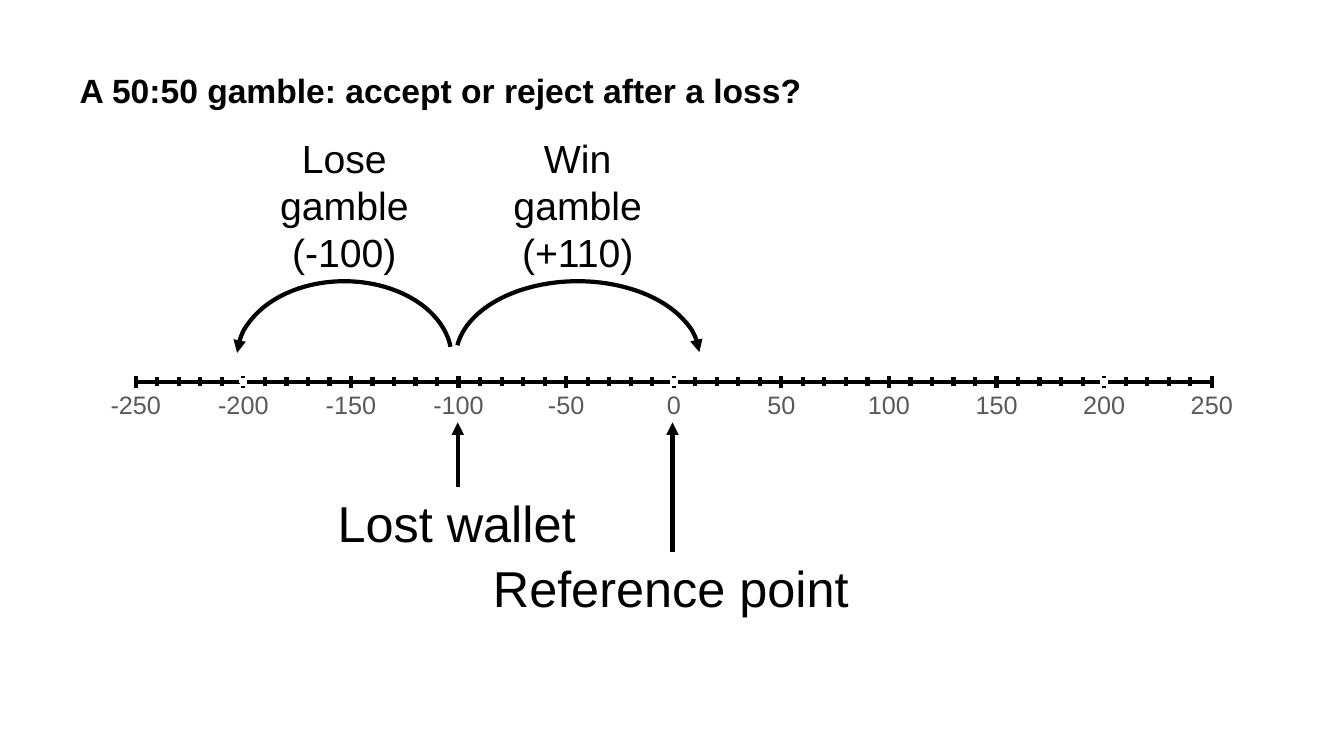
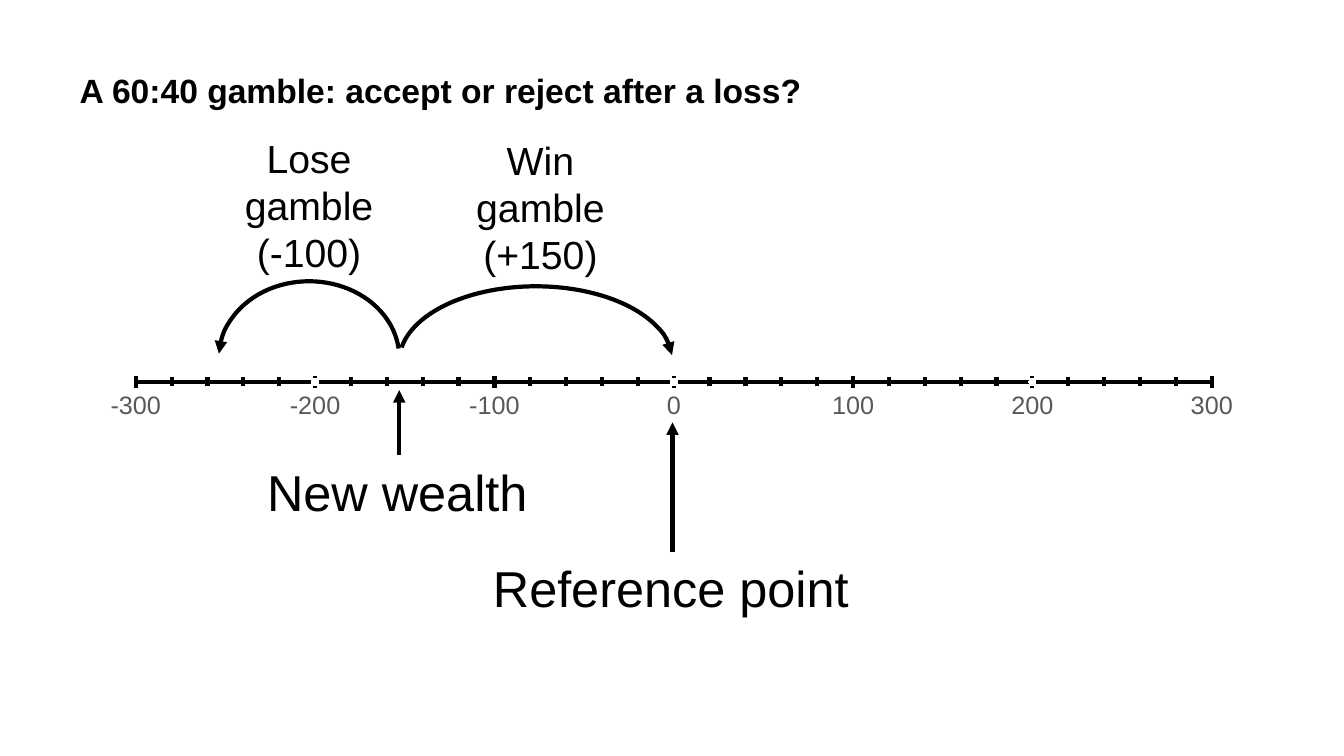
from dataclasses import dataclass

from lxml.etree import SubElement
from pptx import Presentation
from pptx.chart.data import XyChartData
from pptx.dml.color import RGBColor
from pptx.enum.chart import XL_CHART_TYPE, XL_MARKER_STYLE, XL_TICK_MARK
from pptx.enum.shapes import MSO_CONNECTOR, MSO_SHAPE
from pptx.enum.text import MSO_ANCHOR, PP_ALIGN
from pptx.oxml import parse_xml
from pptx.oxml.ns import nsdecls, qn
from pptx.util import Inches, Pt

BLACK = RGBColor(0x00, 0x00, 0x00)
GRAY = RGBColor(0x59, 0x59, 0x59)
FONT = "Arial"
LINE_WIDTH = Pt(3)
ARC_ANGLES = (111.569, 214.401)

# Plot area as fractions of the chart frame
PLOT_AREA = {"x": 0.042, "y": 0.1, "w": 0.92, "h": 0.445}


@dataclass(frozen=True)
class Area:
    left: float
    top: float
    width: float
    height: float

    def lengths(self) -> tuple:
        return tuple(map(Inches, (self.left, self.top, self.width, self.height)))


@dataclass(frozen=True)
class Outcome:
    text: str
    label: Area
    arc: Area
    is_loss: bool = False


@dataclass(frozen=True)
class Pointer:
    text: str
    label: Area
    x: float
    bottom: float
    top: float


@dataclass(frozen=True)
class Gamble:
    title: str
    limit: int
    major_unit: int
    outcomes: tuple[Outcome, ...]
    wealth: Pointer


TITLE_AREA = Area(0.69, 0.64, 11.29, 0.51)
CHART_AREA = Area(0.86, 3.31, 11.6, 0.88)
REFERENCE = Pointer("Reference point", Area(4.79, 5.48, 3.76, 0.71), 6.67, 5.48, 4.19)

GAMBLES = (
    Gamble(
        "A 50:50 gamble: accept or reject after a loss?", 250, 50,
        (
            Outcome("Win gamble (+110)", Area(4.66, 1.28, 2.14, 1.51),
                    Area(4.52, 2.79, 2.42, 1.52)),
            Outcome("Lose gamble\v(-100)", Area(2.25, 1.28, 2.33, 1.51),
                    Area(2.35, 2.79, 2.13, 1.52), is_loss=True),
        ),
        Pointer("Lost wallet", Area(3.25, 4.83, 2.59, 0.71), 4.54, 4.83, 4.19),
    ),
    Gamble(
        "A 60:40 gamble: accept or reject after a loss?", 300, 100,
        (
            Outcome("Win gamble (+150)", Area(4.29, 1.3, 2.14, 1.51),
                    Area(3.96, 2.84, 2.71, 1.49)),
            Outcome("Lose gamble\v(-100)", Area(1.9, 1.28, 2.33, 1.51),
                    Area(2.17, 2.79, 1.79, 1.52), is_loss=True),
        ),
        Pointer("New wealth", Area(2.55, 4.53, 2.81, 0.71), 3.96, 4.51, 3.87),
    ),
)


def set_font(font, size: float, color: RGBColor = BLACK, bold: bool = False) -> None:
    font.name, font.size, font.bold = FONT, Pt(size), bold
    font.color.rgb = color


def write_text(frame, text: str, *, size: float, bold: bool = False,
               align=PP_ALIGN.LEFT, spacing: float = 1.0, wrap: bool = True) -> None:
    frame.word_wrap = wrap
    frame.text = text
    para = frame.paragraphs[0]
    para.alignment, para.line_spacing = align, spacing
    for span in para.runs:
        set_font(span.font, size, bold=bold)


def add_label(page, area: Area, text: str, **formatting) -> None:
    box = page.shapes.add_textbox(*area.lengths())
    write_text(box.text_frame, text, **formatting)


def style_arrow(line) -> None:
    line.color.rgb = BLACK
    line.width = LINE_WIDTH
    SubElement(line._get_or_add_ln(), qn("a:tailEnd"), type="triangle")


def add_title(page, text: str) -> None:
    title = page.shapes.title
    title.left, title.top, title.width, title.height = TITLE_AREA.lengths()
    title.text_frame.vertical_anchor = MSO_ANCHOR.BOTTOM
    write_text(title.text_frame, text, size=24, bold=True, spacing=0.9)


def add_number_line(page, limit: int, major_unit: int) -> None:
    data = XyChartData()
    points = data.add_series("Series 1")
    for value in (-200, 200, 0):
        points.add_data_point(value, 0)
    chart = page.shapes.add_chart(
        XL_CHART_TYPE.XY_SCATTER, *CHART_AREA.lengths(), data).chart
    chart.has_title = chart.has_legend = False
    set_font(chart.font, 10)

    # Visible horizontal scale
    scale = chart.category_axis
    scale.minimum_scale, scale.maximum_scale = -limit, limit
    scale.major_unit, scale.minor_unit = major_unit, major_unit / 5
    scale.major_tick_mark = scale.minor_tick_mark = XL_TICK_MARK.CROSS
    scale.has_major_gridlines = False
    scale.format.line.color.rgb = BLACK
    scale.format.line.width = LINE_WIDTH
    set_font(scale.tick_labels.font, 18, GRAY)

    # Hidden vertical scale
    height = chart.value_axis
    height.minimum_scale, height.maximum_scale, height.major_unit = 0, 10, 100
    height.has_major_gridlines = False
    height.visible = False

    # Unfilled markers
    series = chart.plots[0].series[0]
    series.format.line.fill.background()
    series.marker.style, series.marker.size = XL_MARKER_STYLE.CIRCLE, 5
    series.marker.format.fill.background()
    series.marker.format.line.fill.background()

    # Fixed inner plot area
    plot_area = chart._chartSpace.chart.plotArea
    for layout in plot_area.findall(qn("c:layout")):
        plot_area.remove(layout)
    sizes = "".join(f'<c:{key} val="{value}"/>' for key, value in PLOT_AREA.items())
    plot_area.insert(0, parse_xml(
        f'<c:layout {nsdecls("c")}><c:manualLayout><c:layoutTarget val="inner"/>'
        f'<c:xMode val="edge"/><c:yMode val="edge"/>{sizes}</c:manualLayout></c:layout>'))


def add_outcome(page, outcome: Outcome) -> None:
    arc = page.shapes.add_shape(MSO_SHAPE.ARC, *outcome.arc.lengths())
    arc.shadow.inherit = False
    arc.fill.background()
    arc.adjustments[0], arc.adjustments[1] = ARC_ANGLES
    if outcome.is_loss:
        arc._element.spPr.find(qn("a:xfrm")).set("flipH", "1")
    style_arrow(arc.line)
    add_label(page, outcome.label, outcome.text, size=28, align=PP_ALIGN.CENTER)


def add_pointer(page, pointer: Pointer) -> None:
    add_label(page, pointer.label, pointer.text, size=36, wrap=False)
    x = Inches(pointer.x)
    arrow = page.shapes.add_connector(
        MSO_CONNECTOR.STRAIGHT, x, Inches(pointer.bottom), x, Inches(pointer.top))
    style_arrow(arrow.line)
    SubElement(arrow._element.spPr, qn("a:effectLst"))


def main() -> None:
    deck = Presentation()
    deck.slide_width, deck.slide_height = Inches(13.33), Inches(7.5)
    title_only = deck.slide_layouts[5]
    for gamble in GAMBLES:
        page = deck.slides.add_slide(title_only)
        add_title(page, gamble.title)
        add_number_line(page, gamble.limit, gamble.major_unit)
        for pointer in (gamble.wealth, REFERENCE):
            add_pointer(page, pointer)
        for outcome in gamble.outcomes:
            add_outcome(page, outcome)
    deck.save("out.pptx")


if __name__ == "__main__":
    main()
